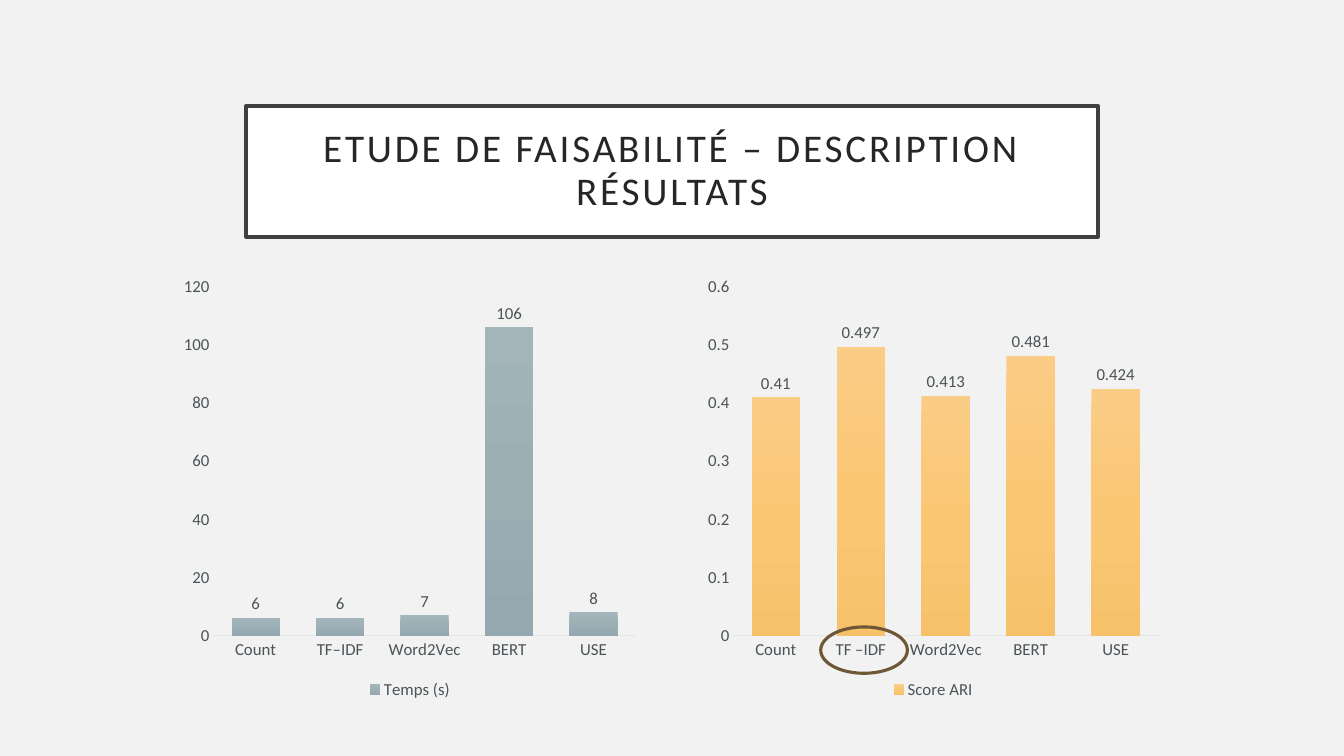
from copy import deepcopy

from pptx import Presentation
from pptx import util as u
from pptx.chart.data import CategoryChartData
from pptx.dml.color import RGBColor
from pptx.enum import chart as ch, shapes, text

# Content
TITLE = "ETUDE DE FAISABILITÉ – DESCRIPTION RÉSULTATS"
FONT = "Calibri"
BACK = RGBColor(0xF2, 0xF2, 0xF2)
WHITE = RGBColor(0xFF, 0xFF, 0xFF)
FRAME = RGBColor(0x40, 0x40, 0x40)
INK = RGBColor(0x26, 0x26, 0x26)
SLATE = RGBColor(0x4A, 0x53, 0x56)
PALE = RGBColor(0xE3, 0xE6, 0xE7)
BROWN = RGBColor(0x6D, 0x57, 0x34)
GREYS = [RGBColor(0xA3, 0xB5, 0xBB), RGBColor(0x9B, 0xAF, 0xB5),
         RGBColor(0x93, 0xA9, 0xAF)]
GOLDS = [RGBColor(0xFA, 0xCC, 0x85), RGBColor(0xFB, 0xC7, 0x75),
         RGBColor(0xF7, 0xC1, 0x6A)]
CHARTS = [
    dict(name="Temps (s)", left=1.73, width=4.67, top=120, step=20, tones=GREYS,
         data={"Count": 6, "TF–IDF": 6, "Word2Vec": 7, "BERT": 106, "USE": 8}),
    dict(name="Score ARI", left=6.93, width=4.65, top=0.6, step=0.1, tones=GOLDS,
         data={"Count": 0.41, "TF –IDF": 0.497, "Word2Vec": 0.413,
               "BERT": 0.481, "USE": 0.424}),
]
ROW, HIGH = 2.66, 4.32  # top and height shared by both charts


def box(*sides):
    return [u.Inches(side) for side in sides]


def style(font, size=12, color=SLATE):
    font.name, font.size, font.bold = FONT, u.Pt(size), False
    font.color.rgb = color


def shade(series, tones):
    """Fill the bars from top to bottom with evenly spaced tones."""
    fill = series.format.fill
    fill.gradient()
    fill.gradient_angle = 270
    stops = series._element.xpath(".//a:gsLst")[0]
    stops.insert(1, deepcopy(stops[0]))
    for i, (stop, tone) in enumerate(zip(fill.gradient_stops, tones)):
        stop.position = i / (len(tones) - 1)
        stop.color.rgb = tone


def plot(slide, item):
    data = CategoryChartData()
    data.categories = list(item["data"])
    data.add_series(item["name"], list(item["data"].values()))
    chart = slide.shapes.add_chart(
        ch.XL_CHART_TYPE.COLUMN_CLUSTERED,
        *box(item["left"], ROW, item["width"], HIGH), data).chart
    style(chart.font)
    chart.has_title = False
    chart.has_legend = True
    chart.legend.position = ch.XL_LEGEND_POSITION.BOTTOM
    chart.legend.include_in_layout = False
    style(chart.legend.font)

    # Axes
    for axis in (chart.category_axis, chart.value_axis):
        axis.has_major_gridlines = False
        axis.major_tick_mark = axis.minor_tick_mark = ch.XL_TICK_MARK.NONE
        style(axis.tick_labels.font)
    base = chart.category_axis.format.line
    base.color.rgb, base.width = PALE, u.Pt(0.75)
    scale = chart.value_axis
    scale.format.line.fill.background()
    scale.minimum_scale, scale.maximum_scale = 0, item["top"]
    scale.major_unit = item["step"]

    # Bars and their values
    bars = chart.plots[0]
    bars.gap_width, bars.vary_by_categories = 75, False
    shade(bars.series[0], item["tones"])
    bars.has_data_labels = True
    tags = bars.data_labels
    tags.show_value = True
    tags.position = ch.XL_LABEL_POSITION.OUTSIDE_END
    style(tags.font)


def main():
    deck = Presentation()
    deck.slide_width, deck.slide_height = box(13.33, 7.5)
    slide = deck.slides.add_slide(deck.slide_layouts[5])
    slide.background.fill.solid()
    slide.background.fill.fore_color.rgb = BACK

    # Framed title
    title = slide.shapes.title
    title.left, title.top, title.width, title.height = box(2.44, 1.05, 8.45, 1.3)
    title.fill.solid()
    title.fill.fore_color.rgb = WHITE
    title.line.color.rgb, title.line.width = FRAME, u.Pt(2.5)
    frame = title.text_frame
    frame.text = TITLE
    frame.word_wrap, frame.auto_size = True, text.MSO_AUTO_SIZE.NONE
    frame.vertical_anchor = text.MSO_ANCHOR.MIDDLE
    frame.margin_left = frame.margin_right = u.Inches(0.2)
    frame.margin_top = frame.margin_bottom = u.Inches(0.2)
    line = frame.paragraphs[0]
    line.alignment, line.line_spacing = text.PP_ALIGN.CENTER, 0.9
    style(line.runs[0].font, 28, INK)
    line.runs[0]._r.get_or_add_rPr().set("spc", "200")

    for item in CHARTS:
        plot(slide, item)

    # Ring around the best score's label
    ring = slide.shapes.add_shape(shapes.MSO_SHAPE.OVAL,
                                  *box(8.14, 6.22, 0.86, 0.46))
    ring.shadow.inherit = False
    ring.fill.background()
    ring.line.color.rgb, ring.line.width = BROWN, u.Pt(2.25)

    deck.save("out.pptx")


if __name__ == "__main__":
    main()
